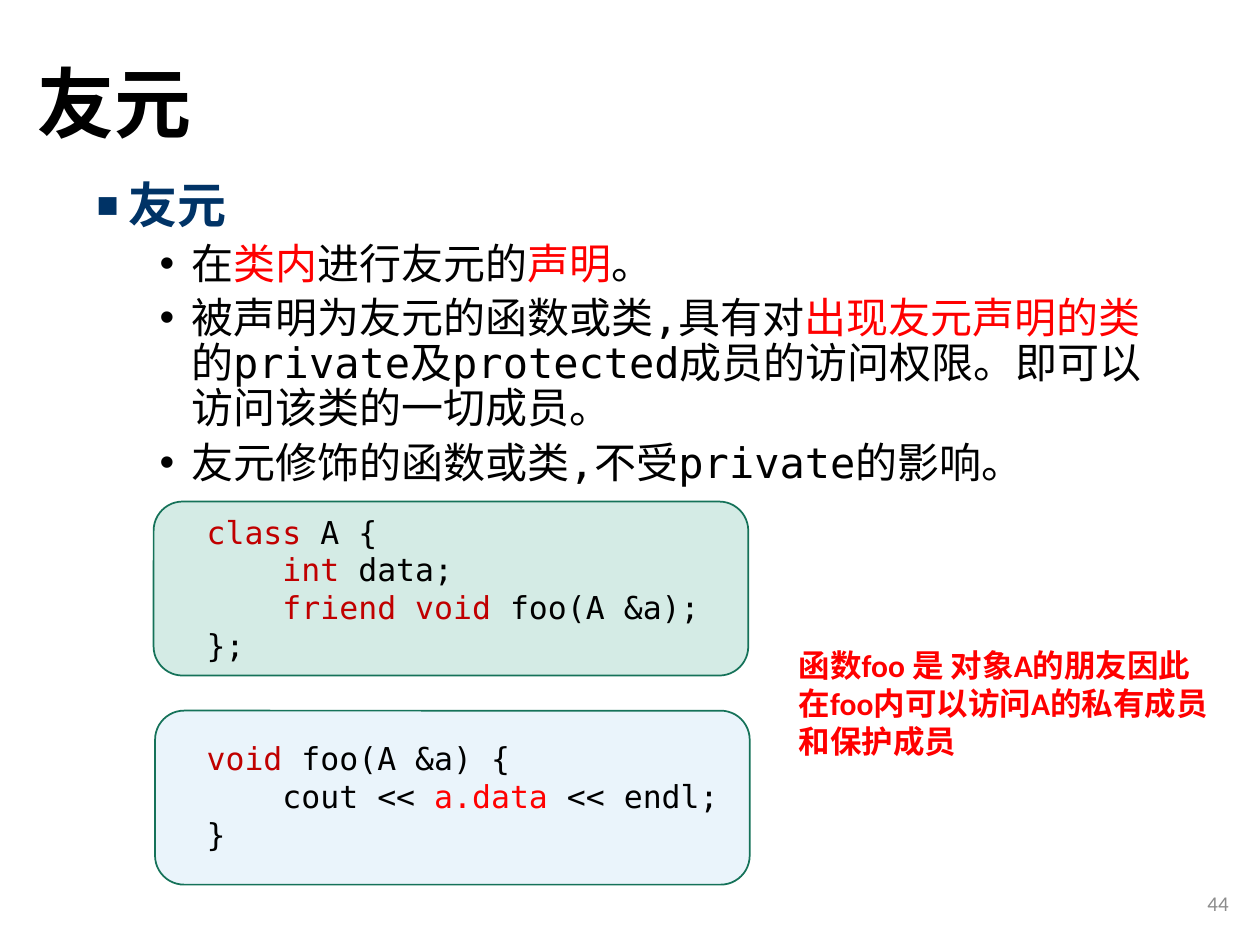
from pptx import Presentation
from pptx.dml.color import RGBColor
from pptx.enum.shapes import MSO_SHAPE
from pptx.enum.text import MSO_ANCHOR, PP_ALIGN
from pptx.oxml.ns import qn
from pptx.util import Pt
from lxml.etree import SubElement

COLORS = {
    "black": "000000", "red": "FF0000", "keyword": "C00000", "navy": "003366",
    "gray": "8C8C8C", "border": "157259", "green": "1D9A78", "blue": "94C8ED",
}
MONO, SANS, CHINESE = "DejaVu Sans Mono", "Calibri", "Noto Sans CJK SC"


def color(name):
    return RGBColor.from_string(COLORS[name])


def add_text(slide, box, anchor=MSO_ANCHOR.TOP):
    """Add an empty wrapping text box and return its frame."""
    text_frame = slide.shapes.add_textbox(*map(Pt, box)).text_frame
    text_frame.word_wrap = True
    text_frame.vertical_anchor = anchor
    return text_frame


def fill_paragraph(paragraph, parts, size, font, bold=False):
    """Write (text, colour) parts as runs of one paragraph."""
    for text, name in parts:
        run = paragraph.add_run()
        run.text = text
        run.font.size = Pt(size)
        run.font.bold = bold
        run.font.name = font
        run.font.color.rgb = color(name)
        SubElement(run._r.get_or_add_rPr(), qn("a:ea"), typeface=CHINESE)


def next_paragraph(text_frame, index):
    return text_frame.add_paragraph() if index else text_frame.paragraphs[0]


def set_bullet(paragraph, character, margin, percent):
    properties = paragraph._p.get_or_add_pPr()
    properties.set("marL", str(Pt(margin)))
    properties.set("indent", str(Pt(-18)))
    SubElement(properties, qn("a:buSzPct"), val=str(percent * 1000))
    SubElement(properties, qn("a:buFont"), typeface="Arial")
    SubElement(properties, qn("a:buChar"), char=character)


def add_title(slide, box, title):
    paragraph = add_text(slide, box, MSO_ANCHOR.MIDDLE).paragraphs[0]
    paragraph.line_spacing = 0.9
    fill_paragraph(paragraph, [(title, "black")], 44, CHINESE, True)


def add_body(slide, box, heading, points):
    text_frame = add_text(slide, box)
    for index, parts in enumerate([[(heading, "navy")]] + points):
        paragraph = next_paragraph(text_frame, index)
        paragraph.line_spacing = 0.9
        paragraph.space_before = Pt(5 if index else 10)
        if index:
            set_bullet(paragraph, "•", 54, 100)
        else:
            set_bullet(paragraph, "■", 18, 75)
        fill_paragraph(paragraph, parts, 24 if index else 28, MONO, not index)


def add_code_card(slide, box, fill, text_top, lines):
    """Draw a tinted card; each line is (indent level, parts)."""
    left, top, width, height = box
    card = slide.shapes.add_shape(MSO_SHAPE.ROUNDED_RECTANGLE, *map(Pt, box))
    card.shadow.inherit = False
    card.fill.solid()
    card.fill.fore_color.rgb = color(fill)
    tint = card._element.spPr.find(qn("a:solidFill"))[0]
    SubElement(tint, qn("a:alpha"), val="19000")
    card.line.color.rgb = color("border")
    card.line.width = Pt(1)

    text_frame = add_text(slide, (111, top + text_top, 360, height - text_top))
    for index, (level, parts) in enumerate(lines):
        paragraph = next_paragraph(text_frame, index)
        paragraph.line_spacing = Pt(21.6)
        paragraph._p.get_or_add_pPr().set("marL", str(Pt(43.35 * level)))
        fill_paragraph(paragraph, parts, 18, MONO)


def add_note(slide, box, lines):
    text_frame = add_text(slide, box)
    for index, line in enumerate(lines):
        fill_paragraph(next_paragraph(text_frame, index), [(line, "red")], 18, SANS, True)


def add_page_number(slide, box, number):
    paragraph = add_text(slide, box, MSO_ANCHOR.MIDDLE).paragraphs[0]
    paragraph.alignment = PP_ALIGN.RIGHT
    fill_paragraph(paragraph, [(number, "gray")], 12, SANS)


presentation = Presentation()
presentation.slide_width, presentation.slide_height = Pt(720), Pt(540)
slide = presentation.slides.add_slide(presentation.slide_layouts[6])

# Title and bullet points
add_title(slide, (14.4, 9.4, 620.6, 104.4), "友元")
add_body(slide, (48.2, 100, 633.6, 373.7), "友元", [
    [("在", "black"), ("类内", "red"), ("进行友元的", "black"),
     ("声明", "red"), ("。", "black")],
    [("被声明为友元的函数或类,具有对".replace(",", ","), "black"),
     ("出现友元声明的类", "red"),
     ("的private及protected成员的访问权限。即可以访问该类的一切成员。", "black")],
    [("友元修饰的函数或类,不受private的影响。".replace(",", ","), "black")],
])

# Code cards
add_code_card(slide, (87.8, 286.6, 339.8, 99.4), "green", 2.8, [
    (0, [("class ", "keyword"), ("A {", "black")]),
    (1, [("int", "keyword"), (" data;", "black")]),
    (1, [("friend void", "keyword"), (" foo(A &a);", "black")]),
    (0, [("};", "black")]),
])
add_code_card(slide, (88.6, 406.1, 339.8, 99.4), "blue", 12.9, [
    (0, [("void", "keyword"), (" foo(A &a) {", "black")]),
    (1, [("cout << ", "black"), ("a.data ", "red"), ("<< endl;", "black")]),
    (0, [("}", "black")]),
])

# Side note and page number
add_note(slide, (449.3, 365.8, 250.6, 72.7), [
    "函数foo 是 对象A的朋友因此",
    "在foo内可以访问A的私有成员",
    "和保护成员",
])
add_page_number(slide, (547.2, 501.8, 162, 28.8), "44")

presentation.save("out.pptx")
